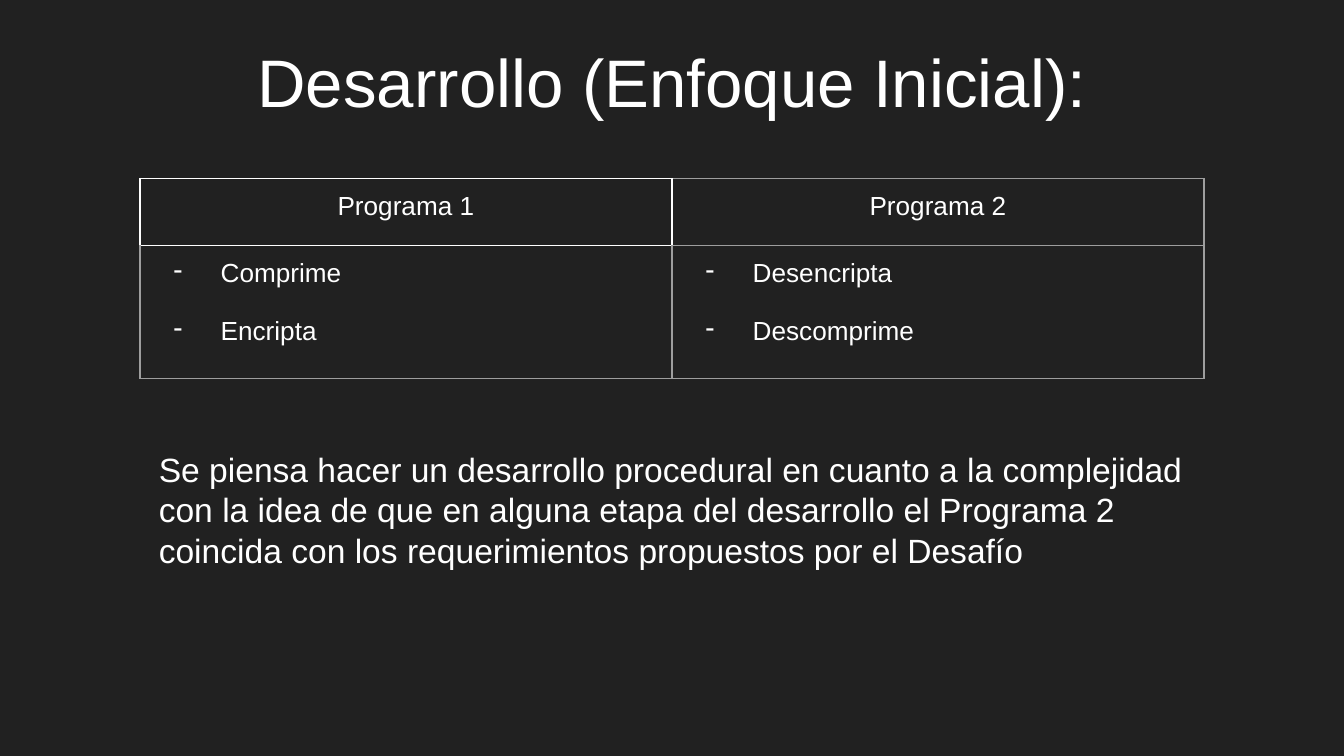
"""Build the slide on the initial development approach with its two-program table."""
import dataclasses
import typing

import lxml.etree
import pptx
import pptx.dml.color
import pptx.enum.text
import pptx.oxml.ns
import pptx.util

Pt = pptx.util.Pt
ALIGN = pptx.enum.text.PP_ALIGN
ANCHOR = pptx.enum.text.MSO_ANCHOR
WHITE, GREY, BACKGROUND = "FFFFFF", "9E9E9E", "212121"
INSET = 7.2


@dataclasses.dataclass(frozen=True)
class Passage:
    text: str
    left: float
    top: float
    width: float
    height: float
    size: float
    align: ALIGN = ALIGN.LEFT
    anchor: ANCHOR = ANCHOR.TOP


@dataclasses.dataclass(frozen=True)
class Entry:
    lines: tuple[str, ...]
    borders: dict[str, str]
    dashed: bool = False


def color(value: str) -> pptx.dml.color.RGBColor:
    return pptx.dml.color.RGBColor.from_string(value)


def add_element(parent: typing.Any, tag: str, **attributes: str) -> typing.Any:
    return lxml.etree.SubElement(parent, pptx.oxml.ns.qn(tag), attributes)


def write(paragraph: typing.Any, text: str, size: float, align: ALIGN) -> None:
    paragraph.alignment = align
    run = paragraph.add_run()
    run.text = text
    run.font.name = "Arial"
    run.font.size = Pt(size)
    run.font.color.rgb = color(WHITE)


def set_insets(holder: typing.Any) -> None:
    holder.margin_left = holder.margin_right = Pt(INSET)
    holder.margin_top = holder.margin_bottom = Pt(INSET)


def add_passage(slide: typing.Any, passage: Passage) -> None:
    box = slide.shapes.add_textbox(
        Pt(passage.left), Pt(passage.top), Pt(passage.width), Pt(passage.height)
    )
    frame = box.text_frame
    frame.word_wrap = True
    frame.vertical_anchor = passage.anchor
    set_insets(frame)
    write(frame.paragraphs[0], passage.text, passage.size, passage.align)


def add_dash(paragraph: typing.Any) -> None:
    properties = paragraph._p.get_or_add_pPr()
    properties.set("marL", str(Pt(36)))
    properties.set("indent", str(-Pt(25.2)))
    add_element(add_element(properties, "a:buClr"), "a:srgbClr", val=WHITE)
    add_element(properties, "a:buChar", char="-")


def fill_cell(cell: typing.Any, entry: Entry) -> None:
    set_insets(cell)
    frame = cell.text_frame
    for index, line in enumerate(entry.lines):
        paragraph = frame.add_paragraph() if index else frame.paragraphs[0]
        write(paragraph, line, 14, ALIGN.LEFT if entry.dashed else ALIGN.CENTER)
        if index:
            paragraph.space_before = Pt(15)
        if entry.dashed:
            add_dash(paragraph)
    properties = cell._tc.get_or_add_tcPr()
    for side in "LRTB":
        border = add_element(properties, f"a:ln{side}", w=str(Pt(0.75)))
        solid = add_element(border, "a:solidFill")
        add_element(solid, "a:srgbClr", val=entry.borders[side])
    cell.fill.background()


def add_programs(slide: typing.Any, rows: list[list[Entry]]) -> None:
    widths, heights = (285, 285), (36, 71)
    table = slide.shapes.add_table(
        len(heights), len(widths), Pt(75), Pt(95.6), Pt(sum(widths)), Pt(sum(heights))
    ).table
    table.first_row = table.horz_banding = False
    for column, width in zip(table.columns, widths):
        column.width = Pt(width)
    for row, height, entries in zip(table.rows, heights, rows):
        row.height = Pt(height)
        for cell, entry in zip(row.cells, entries):
            fill_cell(cell, entry)


def main() -> None:
    white, grey = dict.fromkeys("LRTB", WHITE), dict.fromkeys("LRTB", GREY)
    programs = [
        [Entry(("Programa 1",), white), Entry(("Programa 2",), grey | {"L": WHITE})],
        [
            Entry(("Comprime", "Encripta"), grey | {"T": WHITE}, dashed=True),
            Entry(("Desencripta", "Descomprime"), grey, dashed=True),
        ],
    ]
    title = Passage("Desarrollo (Enfoque Inicial):", 24.5, 10.1, 671, 66.2, 36,
                    ALIGN.CENTER, ANCHOR.MIDDLE)
    approach = Passage(
        "Se piensa hacer un desarrollo procedural en cuanto a la complejidad "
        "con la idea de que en alguna etapa del desarrollo el Programa 2 "
        "coincida con los requerimientos propuestos por el Desafío",
        78, 233.3, 570, 77.8, 18,
    )
    presentation = pptx.Presentation()
    presentation.slide_width, presentation.slide_height = Pt(720), Pt(405)
    slide = presentation.slides.add_slide(presentation.slide_layouts[6])
    slide.background.fill.solid()
    slide.background.fill.fore_color.rgb = color(BACKGROUND)
    add_passage(slide, title)
    add_programs(slide, programs)
    add_passage(slide, approach)
    presentation.save("out.pptx")


if __name__ == "__main__":
    main()
